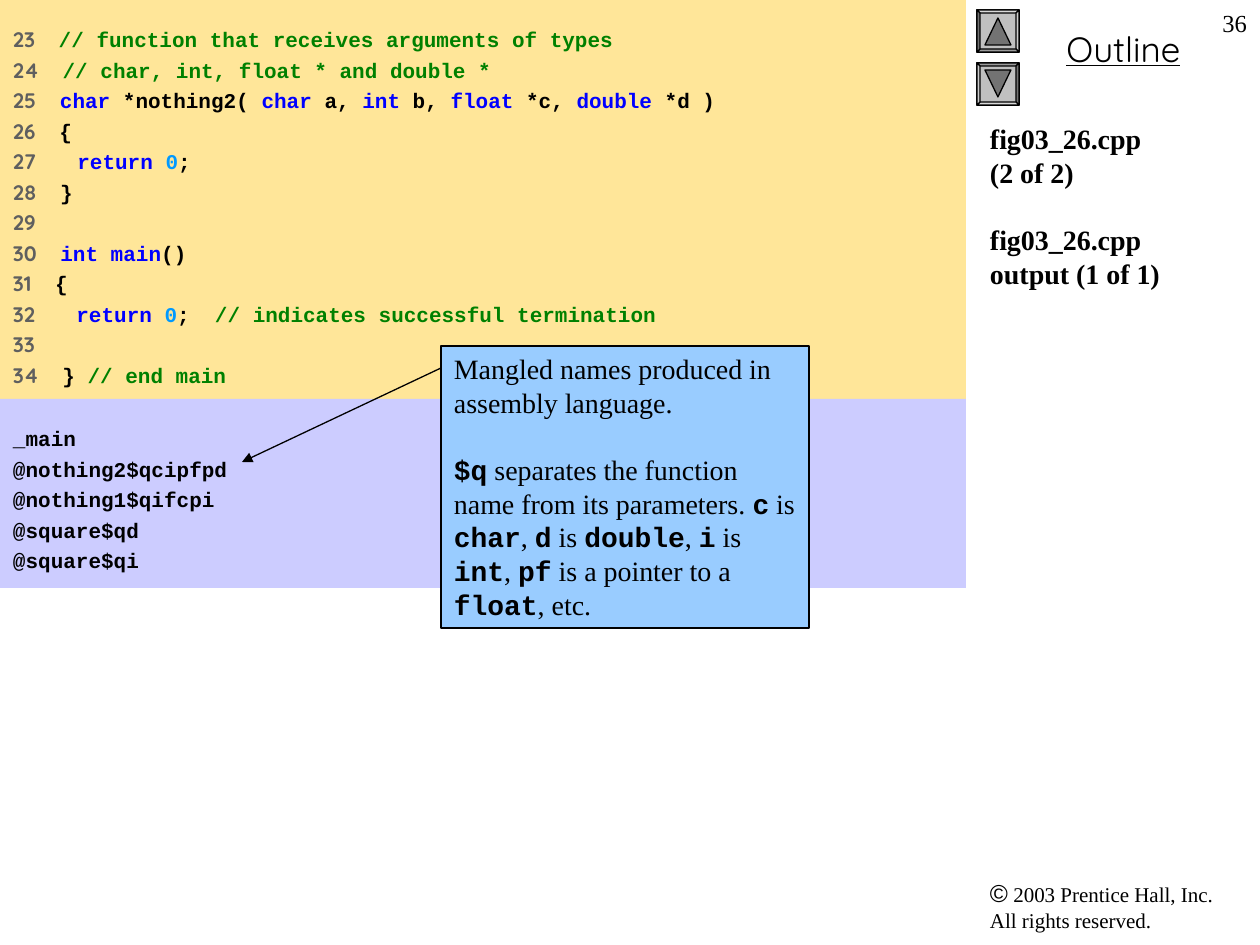
from lxml import etree
from pptx import Presentation
from pptx.dml.color import RGBColor
from pptx.enum.shapes import MSO_CONNECTOR, MSO_SHAPE
from pptx.enum.text import MSO_ANCHOR, PP_ALIGN
from pptx.oxml.ns import qn
from pptx.util import Pt

RECTANGLE = MSO_SHAPE.RECTANGLE
STRAIGHT = MSO_CONNECTOR.STRAIGHT
TOP = MSO_ANCHOR.TOP
LEFT, CENTER, RIGHT = PP_ALIGN.LEFT, PP_ALIGN.CENTER, PP_ALIGN.RIGHT

EMU_PER_PX = 914400 / 126
LINE_HEIGHT = 1.2

BLACK = RGBColor(0x00, 0x00, 0x00)
GRAY = RGBColor(0x5F, 0x5F, 0x5F)
GREEN = RGBColor(0x00, 0x80, 0x00)
BLUE = RGBColor(0x00, 0x00, 0xFF)
CYAN = RGBColor(0x00, 0x99, 0xFF)
CODE_FILL = RGBColor(0xFF, 0xE6, 0x99)
OUTPUT_FILL = RGBColor(0xCC, 0xCC, 0xFF)
CALLOUT_FILL = RGBColor(0x99, 0xCC, 0xFF)
BUTTON_FACE = RGBColor(0xC0, 0xC0, 0xC0)
BUTTON_ARROW = RGBColor(0x73, 0x73, 0x73)
BEVELS = [RGBColor(shade, shade, shade) for shade in (0xD9, 0xCD, 0x9A, 0x73)]

SERIF, MONO, ROUNDED, SANS = "Times New Roman", "Courier New", "Quicksand", "Arial"

CODE = [
    [("// function that receives arguments of types", GREEN)],
    [("// char, int, float * and double *", GREEN)],
    [("char", BLUE), (" *nothing2( ", BLACK), ("char", BLUE), (" a, ", BLACK),
     ("int", BLUE), (" b, ", BLACK), ("float", BLUE), (" *c, ", BLACK),
     ("double", BLUE), (" *d )", BLACK)],
    [("{", BLACK)],
    [("   ", GRAY), ("return ", BLUE), ("0", CYAN), (";", BLACK)],
    [("}", BLACK)],
    [],
    [("int main", BLUE), ("()", BLACK)],
    [("{", BLACK)],
    [("   ", GRAY), ("return ", BLUE), ("0", CYAN), (";  ", BLACK),
     ("// indicates successful termination", GREEN)],
    [],
    [("} ", BLACK), ("// end main", GREEN)],
]
OUTPUT = ["_main", "@nothing2$qcipfpd", "@nothing1$qifcpi", "@square$qd", "@square$qi"]
EXPLANATION = [
    "$q", " separates the function name from its parameters. ", "c", " is ",
    "char", ", ", "d", " is ", "double", ", ", "i", " is ", "int", ", ",
    "pf", " is a pointer to a ", "float", ", etc.",
]


def px(value):
    return round(value * EMU_PER_PX)


def add_text(paragraph, text, font=SERIF, size=12, color=BLACK, bold=False, underline=False):
    for index, line in enumerate(text.split("\n")):
        if index:
            paragraph.add_line_break()
        run = paragraph.add_run()
        run.text = line
        run.font.name = font
        run.font.size = Pt(size)
        run.font.color.rgb = color
        run.font.bold = bold
        run.font.underline = underline


def add_paragraph(frame, size=None, before=0, align=LEFT):
    first = frame.paragraphs[0]
    is_first = not first.runs
    paragraph = first if is_first else frame.add_paragraph()
    paragraph.alignment = align
    paragraph.space_before = Pt(0 if is_first else before)
    if size:
        paragraph.line_spacing = Pt(size * LINE_HEIGHT)
    return paragraph


def prepare_frame(shape, top_inset=6):
    frame = shape.text_frame
    frame.word_wrap = True
    frame.vertical_anchor = TOP
    frame.margin_left = frame.margin_right = px(13)
    frame.margin_top = px(top_inset)
    frame.margin_bottom = px(6)
    return frame


def add_box(slide, left, top, width, height):
    return prepare_frame(slide.shapes.add_textbox(px(left), px(top), px(width), px(height)))


def set_outline(shape, color):
    if color is None:
        shape.line.fill.background()
    else:
        shape.line.color.rgb = color
        shape.line.width = Pt(0.75)


def add_panel(slide, left, top, width, height, fill, outline=None, top_inset=6):
    shape = slide.shapes.add_shape(RECTANGLE, px(left), px(top), px(width), px(height))
    shape.shadow.inherit = False
    shape.fill.solid()
    shape.fill.fore_color.rgb = fill
    set_outline(shape, outline)
    return prepare_frame(shape, top_inset)


def add_polygon(slide, points, fill):
    builder = slide.shapes.build_freeform(*points[0], scale=EMU_PER_PX)
    builder.add_line_segments(points[1:], close=True)
    shape = builder.convert_to_shape()
    shape.shadow.inherit = False
    shape.fill.solid()
    shape.fill.fore_color.rgb = fill
    set_outline(shape, BLACK)


def square(left, top, size):
    return [(left, top), (left + size, top), (left + size, top + size), (left, top + size)]


def add_button(slide, left, top, upward):
    outer = square(left, top, 42)
    inner = square(left + 3, top + 3, 36)
    add_polygon(slide, outer, BUTTON_FACE)
    for side in range(4):
        following = (side + 1) % 4
        bevel = BEVELS[side if upward else (side + 2) % 4]
        add_polygon(slide, [outer[side], outer[following], inner[following], inner[side]], bevel)
    tip, base = (top + 8, top + 35) if upward else (top + 34, top + 7)
    add_polygon(slide, [(left + 21, tip), (left + 34, base), (left + 8, base)], BUTTON_ARROW)


def add_arrow(slide, start, end):
    connector = slide.shapes.add_connector(STRAIGHT, *map(px, start + end))
    set_outline(connector, BLACK)
    line = connector.line._get_or_add_ln()
    etree.SubElement(line, qn("a:tailEnd"), type="triangle")
    etree.SubElement(connector._element.spPr, qn("a:effectLst"))


def add_sidebar(slide):
    paragraph = add_paragraph(add_box(slide, 977, 875, 273, 68), 12.4)
    add_text(paragraph, "©", font=SANS, size=14)
    add_text(paragraph, " 2003 Prentice Hall, Inc.\nAll rights reserved.")
    paragraph = add_paragraph(add_box(slide, 987, 21, 273, 55), align=CENTER)
    add_text(paragraph, "Outline", font=ROUNDED, size=20, underline=True)
    add_button(slide, 977, 10, True)
    add_button(slide, 977, 63, False)
    paragraph = add_paragraph(add_box(slide, 1197, 2, 63, 63), align=RIGHT)
    add_text(paragraph, "36", size=14)
    title = add_box(slide, 977, 116, 283, 661)
    for text in ("fig03_26.cpp\n(2 of 2)", "fig03_26.cpp\noutput (1 of 1)"):
        add_text(add_paragraph(title, 16, before=19.2), text, size=16, bold=True)


def add_code(slide):
    frame = add_panel(slide, 0, 0, 966, 399, CODE_FILL, top_inset=27)
    for number, parts in enumerate(CODE, 23):
        paragraph = add_paragraph(frame, 12, before=3)
        indent = "    " if parts else ""
        if parts and parts[0][1] == GRAY:
            indent += parts[0][0]
            parts = parts[1:]
        add_text(paragraph, f"{number}{indent}", font=ROUNDED, color=GRAY, bold=True)
        for text, color in parts:
            add_text(paragraph, text, font=MONO, color=color, bold=True)


def add_output(slide):
    frame = add_panel(slide, 0, 399, 966, 189, OUTPUT_FILL, top_inset=27)
    for text in OUTPUT:
        add_text(add_paragraph(frame, 12, before=3), text, font=MONO, bold=True)


def add_callout(slide):
    frame = add_panel(slide, 441, 346, 368, 282, CALLOUT_FILL, BLACK)
    add_text(add_paragraph(frame, 16), "Mangled names produced in assembly language.", size=16)
    paragraph = add_paragraph(frame, 16, before=19.2)
    for index, text in enumerate(EXPLANATION):
        is_code = index % 2 == 0
        add_text(paragraph, text, font=MONO if is_code else SERIF, size=16, bold=is_code)
    add_arrow(slide, (441, 368), (242, 462))


def main():
    presentation = Presentation()
    presentation.slide_width = px(1260)
    presentation.slide_height = px(945)
    slide = presentation.slides.add_slide(presentation.slide_layouts[6])
    add_sidebar(slide)
    add_code(slide)
    add_output(slide)
    add_callout(slide)
    presentation.save("out.pptx")


if __name__ == "__main__":
    main()
